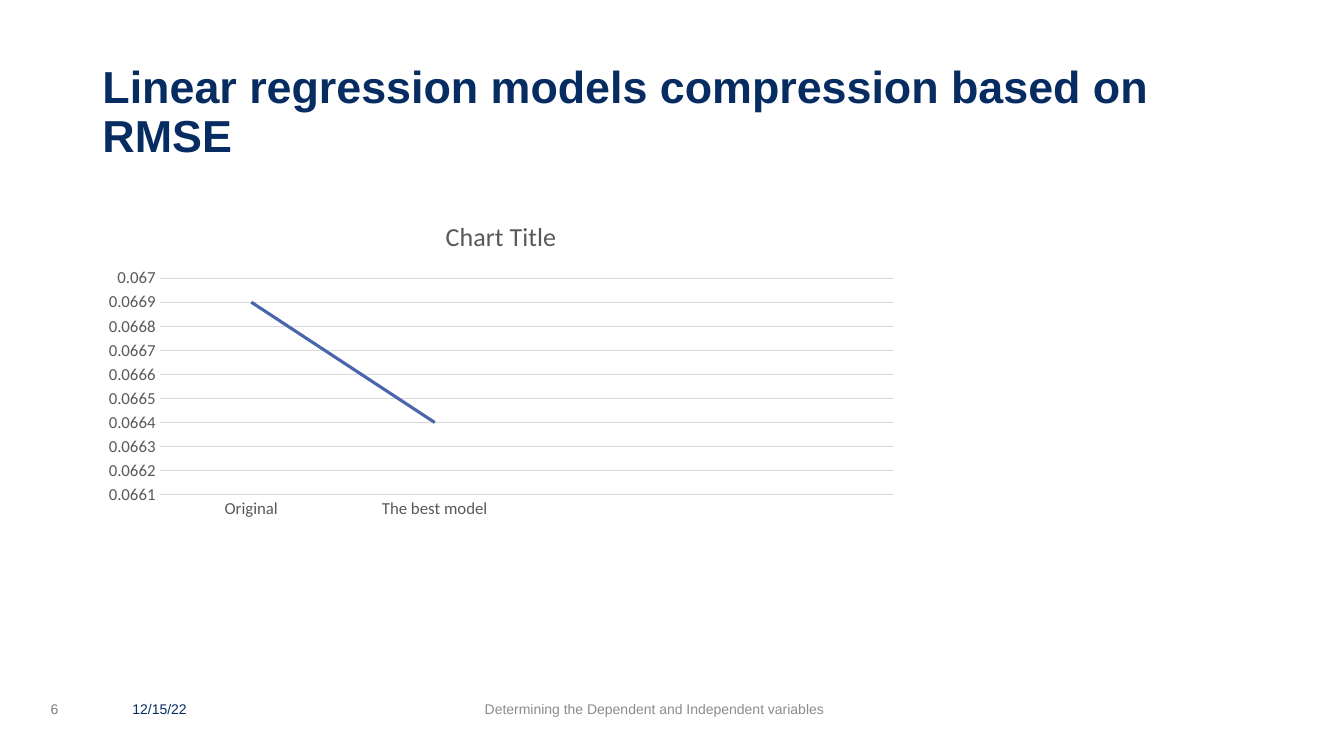
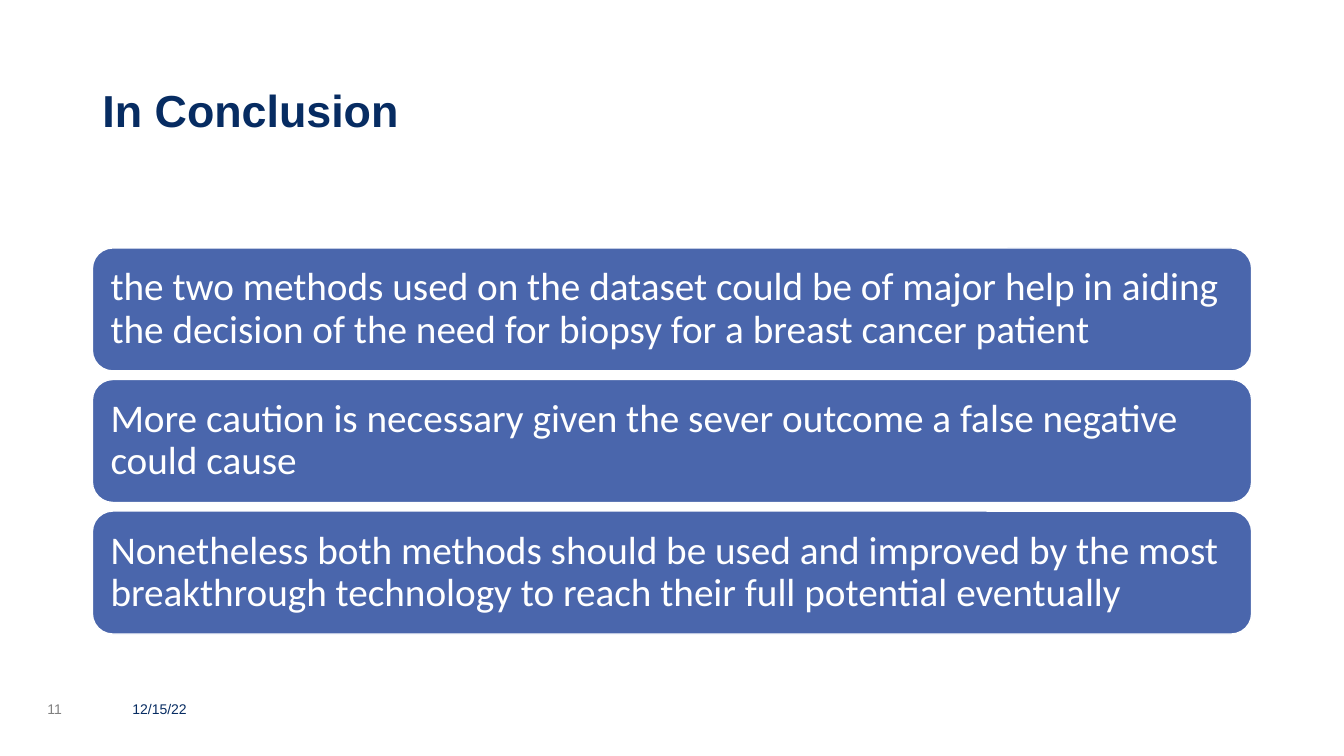
import pptx
import pptx.util
import pptx.chart.data
import pptx.dml.color
import pptx.enum.chart
import pptx.enum.shapes
import pptx.enum.text

COLORS = {"navy": "072C62", "blue": "4A66AC", "sky": "629DD1", "azure": "297FD5",
          "gray": "808080", "silver": "8C8C8C", "ink": "595959", "grid": "D9D9D9",
          "white": "FFFFFF"}
RGB = {name: pptx.dml.color.RGBColor.from_string(value) for name, value in COLORS.items()}
Pt = pptx.util.Pt
ALIGN = pptx.enum.text.PP_ALIGN
MIDDLE = pptx.enum.text.MSO_ANCHOR.MIDDLE

deck = pptx.Presentation()
deck.slide_width = pptx.util.Inches(13.33)
deck.slide_height = pptx.util.Inches(7.5)
COLUMN = deck.slide_width / 160
ROW = deck.slide_height / 75
MARGIN, CONTENT = 11, 138

TITLE = {"name": "Arial", "size": Pt(32), "bold": True}
FOOTER = {"name": "Arial", "size": Pt(10)}
CARD = {"name": "Calibri", "size": Pt(28)}
AXIS = {"name": "Calibri", "size": Pt(12)}
CHART_TITLE = {"name": "Calibri", "size": Pt(18.6), "bold": False}


def style(font, formats, color):
    for attribute, value in formats.items():
        setattr(font, attribute, value)
    font.color.rgb = RGB[color]


def write(box, text, formats, color, align, spacing=1.0):
    frame = box.text_frame
    frame.word_wrap = True
    frame.auto_size = pptx.enum.text.MSO_AUTO_SIZE.NONE
    frame.vertical_anchor = MIDDLE
    para = frame.paragraphs[0]
    para.alignment = align
    para.line_spacing = spacing
    span = para.add_run()
    span.text = text
    style(span.font, formats, color)


def_grid = lambda left, top, width, height: (
    round(left * COLUMN), round(top * ROW), round(width * COLUMN), round(height * ROW))

contents = [
    ("Linear regression models compression based on RMSE", "6",
     "Determining the Dependent and Independent variables"),
    ("In Conclusion", "11", None),
]
for heading, number, footer in contents:
    page = deck.slides.add_slide(deck.slide_layouts[5])
    title = page.shapes.title
    title.left, title.top, title.width, title.height = def_grid(MARGIN, 4, CONTENT, 14.5)
    write(title, heading, TITLE, "navy", ALIGN.LEFT, 0.9)
    for left, width, text, color in [(2, 9, number, "gray"), (MARGIN, 16, "12/15/22", "navy"),
                                     (27, 101.75, footer, "silver")]:
        if text:
            box = page.shapes.add_textbox(*def_grid(left, 68.3, width, 4))
            write(box, text, FOOTER, color, ALIGN.CENTER)

chart_page, conclusion_page = deck.slides

data = pptx.chart.data.CategoryChartData()
data.categories = ["Original", "The best model", "", ""]
series_rows = [("Series 1", [0.0669, 0.0664, None, None], "blue"),
               ("Series 2", [None] * 4, "sky"),
               ("Series 3", [None] * 4, "azure")]
for name, values, color in series_rows:
    data.add_series(name, values)
chart = chart_page.shapes.add_chart(
    pptx.enum.chart.XL_CHART_TYPE.LINE, *def_grid(MARGIN, 20, 97.3, 32.1), data).chart
chart.has_legend = False
chart.has_title = True
heading_span = chart.chart_title.text_frame.paragraphs[0].add_run()
heading_span.text = "Chart Title"
style(heading_span.font, CHART_TITLE, "ink")
plot = chart.plots[0]
plot.vary_by_categories = False
for series, (name, values, color) in zip(plot.series, series_rows):
    series.smooth = False
    series.marker.style = pptx.enum.chart.XL_MARKER_STYLE.NONE
    series.format.line.color.rgb = RGB[color]
    series.format.line.width = Pt(2.25)

for axis in (chart.category_axis, chart.value_axis):
    style(axis.tick_labels.font, AXIS, "ink")
    axis.major_tick_mark = axis.minor_tick_mark = pptx.enum.chart.XL_TICK_MARK.NONE
scale = {"minimum_scale": 0.0661, "maximum_scale": 0.067, "major_unit": 0.0001,
         "has_major_gridlines": True}
for attribute, value in scale.items():
    setattr(chart.value_axis, attribute, value)
chart.value_axis.tick_labels.number_format = "General"
chart.value_axis.tick_labels.number_format_is_linked = False
chart.value_axis.format.line.fill.background()
for line in (chart.category_axis.format.line, chart.value_axis.major_gridlines.format.line):
    line.color.rgb = RGB["grid"]
    line.width = Pt(0.75)

conclusions = [
    "the two methods used on the dataset could be of major help in aiding the decision "
    "of the need for biopsy for a breast cancer patient",
    "More caution is necessary given the sever outcome a false negative could cause",
    "Nonetheless both methods should be used and improved by the most breakthrough "
    "technology to reach their full potential eventually",
]
for index, conclusion in enumerate(conclusions):
    card = conclusion_page.shapes.add_shape(
        pptx.enum.shapes.MSO_SHAPE.ROUNDED_RECTANGLE,
        *def_grid(MARGIN, 24.6 + 13.05 * index, CONTENT, 12.2))
    card.shadow.inherit = False
    card.fill.solid()
    card.fill.fore_color.rgb = RGB["blue"]
    card.line.color.rgb = RGB["white"]
    card.line.width = Pt(1)
    for side in ("left", "top", "right", "bottom"):
        setattr(card.text_frame, f"margin_{side}", pptx.util.Inches(0.12))
    write(card, conclusion, CARD, "white", ALIGN.LEFT, 0.9)

deck.save("out.pptx")
